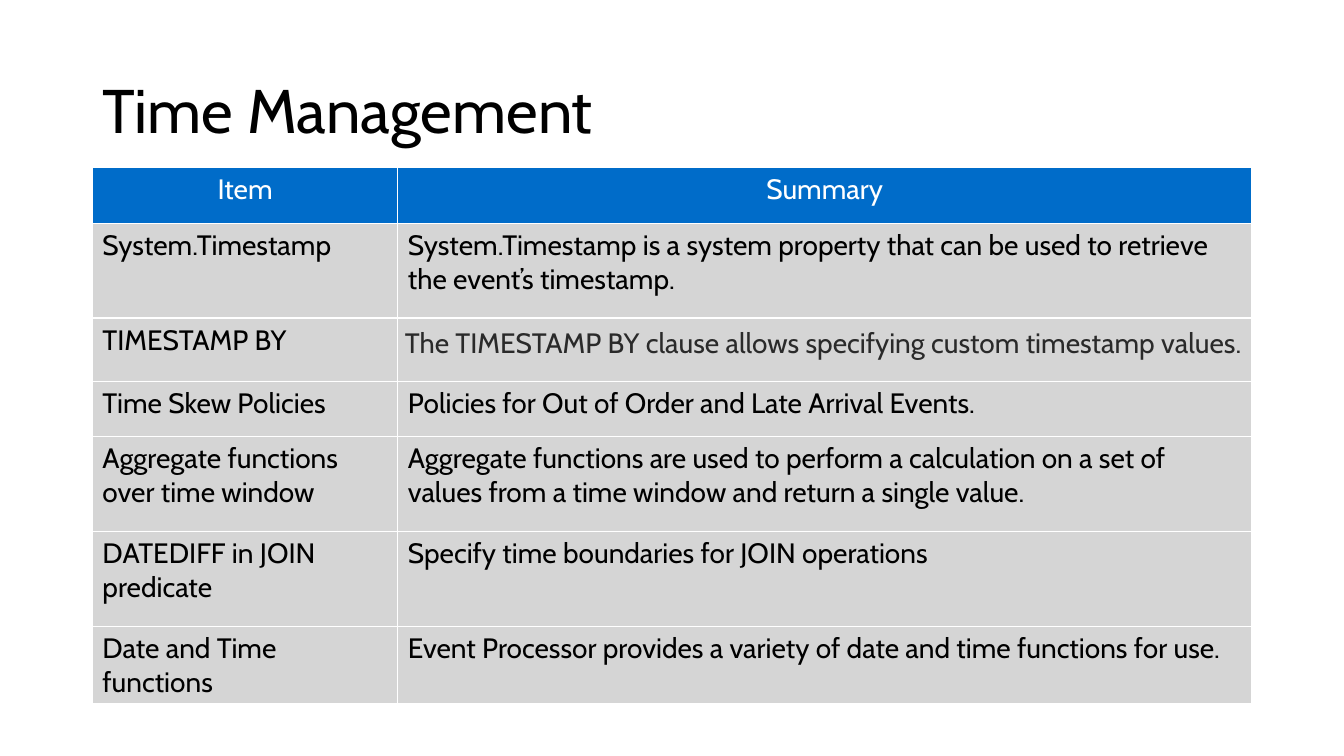
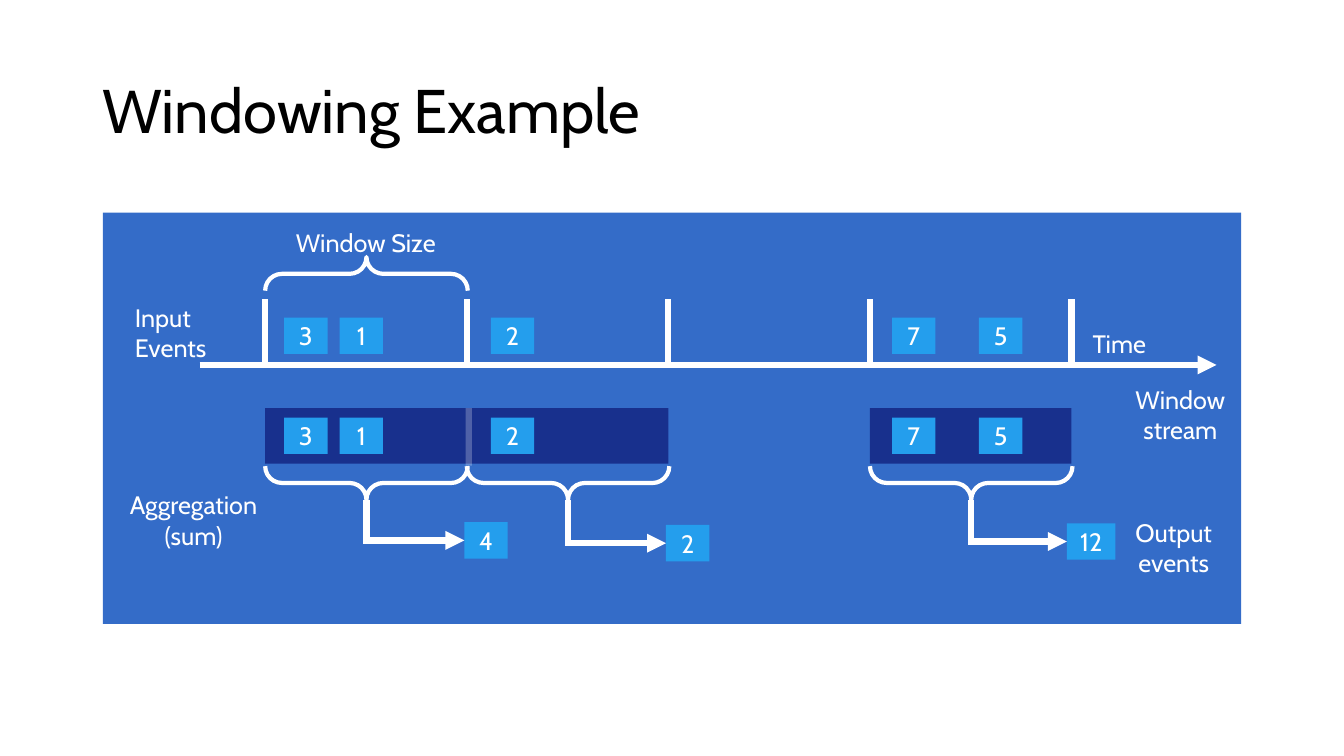
from lxml import etree
from pptx import Presentation
from pptx.dml.color import RGBColor
from pptx.enum.shapes import MSO_CONNECTOR as Conn, MSO_SHAPE as Kind
from pptx.enum.text import MSO_ANCHOR as Anchor, PP_ALIGN as Align
from pptx.oxml.ns import qn
from pptx.util import Pt

FONT = "Cabin"
WHITE, BLACK, GRAY, DARK = "FFFFFF", "000000", "D5D5D5", "2A2A2A"
HEAD, PANEL, NAVY, CHIP = "006CC9", "346CC8", "18308D", "249EED"

ITEMS = [
    ("Item", "Summary"),
    ("System.Timestamp",
     "System.Timestamp is a system property that can be used to retrieve the event’s timestamp."),
    ("TIMESTAMP BY", "The TIMESTAMP BY clause allows specifying custom timestamp values."),
    ("Time Skew Policies", "Policies for Out of Order and Late Arrival Events."),
    ("Aggregate functions over time window",
     "Aggregate functions are used to perform a calculation on a set of values "
     "from a time window and return a single value."),
    ("DATEDIFF in JOIN predicate", "Specify time boundaries for JOIN operations"),
    ("Date and Time functions",
     "Event Processor provides a variety of date and time functions for use."),
]
COLS = [218.2, 609.8]
ROWS = [39.6, 67.8, 45.2, 39.6, 67.8, 67.8, 39]

LEFT, STEP, AXIS = 189.4, 144, 260.7
EVENTS = [("3", 203), ("1", 242.6), ("2", 350.6), ("7", 637.2), ("5", 699.3)]
CHIPS = [226.8, 298.3]
BARS = [(0, 2), (3, 1)]
SUMS = [(0, "4", 373, 31), (1, "2", 375, 31), (3, "12", 373.8, 34.6)]
LABELS = [
    (["Input", "Events"], 89.3, 212.4, 92, Align.LEFT),
    (["Time"], 773.3, 231.1, 96, Align.LEFT),
    (["Window Size"], 201.6, 159.1, 119.5, Align.CENTER),
    (["Aggregation", "(sum)"], 75.6, 346.3, 125.3, Align.CENTER),
    (["Window", "stream"], 802.8, 270.7, 80.6, Align.CENTER),
    (["Output", "events"], 799.9, 365.8, 77, Align.CENTER),
]


def paint(code):
    """Turn a hex string into a colour."""
    return RGBColor.from_string(code)


def write(frame, lines, size, color, align=Align.LEFT):
    """Fill a text frame, one paragraph a line."""
    frame.word_wrap = True
    for i, line in enumerate(lines):
        para = frame.add_paragraph() if i else frame.paragraphs[0]
        para.text, para.alignment = line, align
        font = para.font
        font.name, font.size, font.bold = FONT, Pt(size), False
        font.color.rgb = paint(color)


def label(slide, lines, x, y, w, h, size, color, align=Align.LEFT):
    """Add a text box and return its frame."""
    frame = slide.shapes.add_textbox(Pt(x), Pt(y), Pt(w), Pt(h)).text_frame
    write(frame, lines, size, color, align)
    return frame


def start(deck, title):
    """Add a blank slide with the shared title style."""
    slide = deck.slides.add_slide(deck.slide_layouts[6])
    frame = label(slide, [title], 66, 28.8, 828, 104.4, 44, BLACK)
    frame.vertical_anchor = Anchor.MIDDLE
    frame.paragraphs[0].line_spacing = 0.9
    return slide


def rect(slide, x, y, w, h, color):
    """Add a plain filled rectangle."""
    box = slide.shapes.add_shape(Kind.RECTANGLE, Pt(x), Pt(y), Pt(w), Pt(h))
    box.shadow.inherit = False
    box.fill.solid()
    box.fill.fore_color.rgb = paint(color)
    box.line.fill.background()
    return box


def chip(slide, text, x, y, w=31):
    """Add an event box with its value."""
    box = rect(slide, x, y, w, 26, CHIP)
    frame = box.text_frame
    frame.margin_left = frame.margin_right = frame.margin_top = frame.margin_bottom = 0
    frame.vertical_anchor = Anchor.MIDDLE
    write(frame, [text], 18, WHITE, Align.CENTER)
    return box


def line(slide, x1, y1, x2, y2, arrow=False, alpha=None):
    """Add a thick white line, with an arrowhead or see-through on request."""
    link = slide.shapes.add_connector(Conn.STRAIGHT, Pt(x1), Pt(y1), Pt(x2), Pt(y2))
    link.line.width = Pt(4.5)
    link.line.color.rgb = paint(WHITE)
    props = link._element.spPr
    stroke = props.find(qn("a:ln"))
    if alpha:
        color = stroke.find(".//" + qn("a:srgbClr"))
        etree.SubElement(color, qn("a:alpha"), val=str(alpha * 1000))
    if arrow:
        etree.SubElement(stroke, qn("a:tailEnd"), type="triangle")
    etree.SubElement(props, qn("a:effectLst"))
    return link


def brace(slide, kind, x, y, span=144.7, deep=24):
    """Add a brace turned to lie flat over the span."""
    shape = slide.shapes.add_shape(
        kind, Pt(x + (span - deep) / 2), Pt(y + (deep - span) / 2), Pt(deep), Pt(span))
    shape.rotation = 90
    shape.adjustments[0] = 0.5
    shape.shadow.inherit = False
    shape.fill.background()
    shape.line.width = Pt(3)
    shape.line.color.rgb = paint(WHITE)


def draw_time(deck):
    """Build the table slide."""
    slide = start(deck, "Time Management")
    table = slide.shapes.add_table(
        len(ROWS), len(COLS), Pt(66), Pt(119.8), Pt(sum(COLS)), Pt(sum(ROWS))).table
    table.horz_banding = False
    for col, wide in zip(table.columns, COLS):
        col.width = Pt(wide)
    for r, (row, high) in enumerate(zip(table.rows, ROWS)):
        row.height = Pt(high)
        for cell, text in zip(row.cells, ITEMS[r]):
            cell.fill.solid()
            cell.fill.fore_color.rgb = paint(GRAY if r else HEAD)
            write(cell.text_frame, [text], 20, BLACK if r else WHITE,
                  Align.LEFT if r else Align.CENTER)
    clause = table.cell(2, 1)
    clause.margin_left = clause.margin_right = Pt(5)
    clause.margin_top = clause.margin_bottom = Pt(6)
    clause.text_frame.paragraphs[0].font.color.rgb = paint(DARK)


def draw_windows(deck):
    """Build the window diagram slide."""
    slide = start(deck, "Windowing Example")
    rect(slide, 73.5, 151.9, 813, 293.8, PANEL)
    line(slide, 142.6, AXIS, 869, AXIS, arrow=True)
    for i in range(5):
        x = LEFT + i * STEP
        line(slide, x, 213.8, x, 262.8)
    for first, count in BARS:
        rect(slide, LEFT + first * STEP, 291.6, count * STEP, 39.6, NAVY)
    for y in CHIPS:
        for text, x in EVENTS:
            chip(slide, text, x, y)
    mid = LEFT + STEP + 1.4
    line(slide, mid, 291.6, mid, 332.6, alpha=23)
    brace(slide, Kind.LEFT_BRACE, LEFT, 183.6)
    for slot, text, y, w in SUMS:
        x = LEFT + slot * STEP
        brace(slide, Kind.RIGHT_BRACE, x, 333)
        tip, base = x + 72.3, y + 13
        box = chip(slide, text, tip + (70 if slot < 3 else 68.4), y, w)
        line(slide, tip, 357, tip, base + 2.25)
        line(slide, tip, base, tip + 70, base, arrow=True).end_connect(box, 1)
    for lines, x, y, w, align in LABELS:
        label(slide, lines, x, y, w, 7.2 + 21.9 * len(lines), 18, WHITE, align)


def main():
    """Build and save the deck."""
    deck = Presentation()
    deck.slide_width, deck.slide_height = Pt(960), Pt(540)
    draw_time(deck)
    draw_windows(deck)
    deck.save("out.pptx")


if __name__ == "__main__":
    main()
